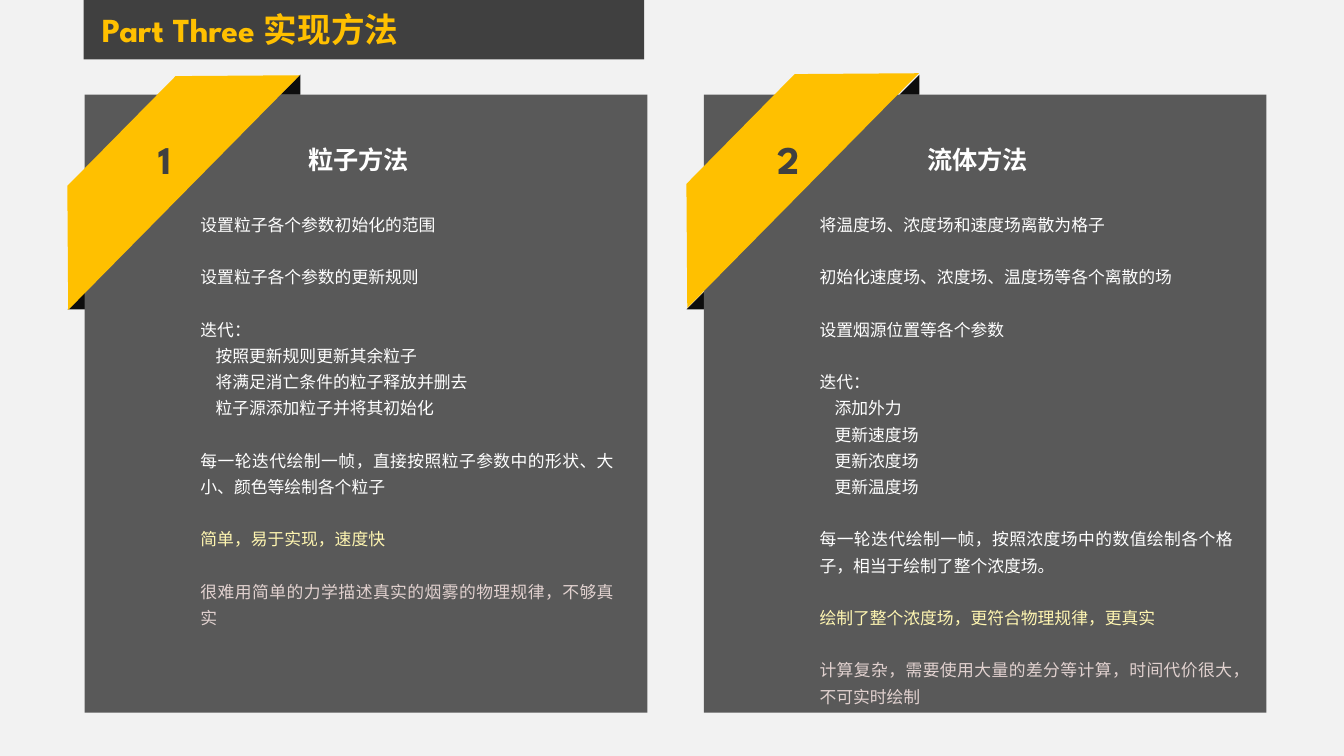
"""Build the slide that compares the particle method with the fluid method."""
from dataclasses import dataclass

from lxml.etree import SubElement
from pptx import Presentation
from pptx.dml.color import RGBColor
from pptx.enum.shapes import MSO_SHAPE
from pptx.enum.text import MSO_ANCHOR, MSO_AUTO_SIZE, PP_ALIGN
from pptx.oxml.ns import qn
from pptx.util import Emu, Pt

FONT = "League Spartan"
AMBER, WHITE, DARK, BLACK, GREY = "FFC000", "FFFFFF", "404040", "0D0D0D", "595959"
CREAM, ROSE = "FFF6B1", "E1D1CF"
PANEL_STEP = 614
LINE = 18.75
INDENT = 15


@dataclass
class Line:
    text: str
    color: str = WHITE
    indented: bool = False


@dataclass
class Panel:
    number: str
    heading: str
    ribbon_top: int
    lines: list[Line]


PANELS = [
    Panel("1", "粒子方法", 117, [
        Line("设置粒子各个参数初始化的范围"),
        Line("设置粒子各个参数的更新规则"),
        Line("迭代："),
        Line("按照更新规则更新其余粒子", indented=True),
        Line("将满足消亡条件的粒子释放并删去", indented=True),
        Line("粒子源添加粒子并将其初始化", indented=True),
        Line("每一轮迭代绘制一帧，直接按照粒子参数中的形状、大小、颜色等绘制各个粒子"),
        Line("简单，易于实现，速度快", CREAM),
        Line("很难用简单的力学描述真实的烟雾的物理规律，不够真实", ROSE),
    ]),
    Panel("2", "流体方法", 115, [
        Line("将温度场、浓度场和速度场离散为格子"),
        Line("初始化速度场、浓度场、温度场等各个离散的场"),
        Line("设置烟源位置等各个参数"),
        Line("迭代："),
        Line("添加外力", indented=True),
        Line("更新速度场", indented=True),
        Line("更新浓度场", indented=True),
        Line("更新温度场", indented=True),
        Line("每一轮迭代绘制一帧，按照浓度场中的数值绘制各个格子，相当于绘制了整个浓度场。"),
        Line("绘制了整个浓度场，更符合物理规律，更真实", CREAM),
        Line("计算复杂，需要使用大量的差分等计算，时间代价很大，不可实时绘制", ROSE),
    ]),
]


def px(n: int) -> Emu:
    return Emu(n * 9144)


def rgb(color: str) -> RGBColor:
    return RGBColor.from_string(color)


def add_run(p, text: str, size: int, color: str, bold: bool = False) -> None:
    r = p.add_run()
    r.text = text
    r.font.name = FONT
    r.font.size = Pt(size)
    r.font.bold = bold
    r.font.color.rgb = rgb(color)
    SubElement(r.font._element, qn("a:ea")).set("typeface", FONT)


def add_block(slide, kind, x: int, y: int, w: int, h: int, color: str):
    sp = slide.shapes.add_shape(kind, px(x), px(y), px(w), px(h))
    sp.shadow.inherit = False
    sp.fill.solid()
    sp.fill.fore_color.rgb = rgb(color)
    sp.line.fill.background()
    return sp


def add_fold(slide, x: int, y: int) -> None:
    add_block(slide, MSO_SHAPE.ISOSCELES_TRIANGLE, x, y, 20, 20, BLACK).adjustments[0] = 1


def add_text(slide, x: int, y: int, w: int, h: int, wrap: bool):
    tf = slide.shapes.add_textbox(px(x), px(y), px(w), px(h)).text_frame
    tf.word_wrap = wrap
    tf.auto_size = MSO_AUTO_SIZE.SHAPE_TO_FIT_TEXT
    return tf


def add_label(slide, text: str, x: int, y: int, w: int, h: int,
              size: int, color: str, align: PP_ALIGN) -> None:
    p = add_text(slide, x, y, w, h, False).paragraphs[0]
    p.alignment = align
    add_run(p, text, size, color, True)


def add_lines(slide, lines: list[Line], x: int, y: int, h: int) -> None:
    tf = add_text(slide, x, y, 430, h, True)
    for i, line in enumerate(lines):
        p = tf.add_paragraph() if i else tf.paragraphs[0]
        p.alignment = PP_ALIGN.JUSTIFY
        p.line_spacing = 1.3
        p.space_before = Pt(LINE if i and not line.indented else 0)
        if line.indented:
            p._p.get_or_add_pPr().set("marL", str(px(INDENT)))
        add_run(p, line.text, 12, line.color)


def add_panel(slide, panel: Panel, dx: int) -> None:
    add_fold(slide, 67 + dx, 287)
    add_block(slide, MSO_SHAPE.RECTANGLE, 84 + dx, 94, 558, 613, GREY)
    add_fold(slide, 278 + dx, 74)
    ribbon = add_block(slide, MSO_SHAPE.TRAPEZOID, dx - 12, panel.ribbon_top, 327, 87, AMBER)
    ribbon.adjustments[0] = 1
    ribbon.rotation = 314.6
    add_label(slide, panel.number, 147 + dx, 129, 42, 57, 28, DARK, PP_ALIGN.LEFT)
    add_label(slide, panel.heading, 295 + dx, 138, 121, 40, 18, WHITE, PP_ALIGN.CENTER)
    add_lines(slide, panel.lines, 189 + dx, 202, 480)


def add_title(slide, text: str) -> None:
    band = add_block(slide, MSO_SHAPE.RECTANGLE, 83, 0, 556, 59, DARK)
    title = slide.shapes.title
    title._element.addprevious(band._element)
    title.left, title.top, title.width, title.height = px(91), px(8), px(375), px(50)
    tf = title.text_frame
    tf.vertical_anchor = MSO_ANCHOR.TOP
    tf.auto_size = MSO_AUTO_SIZE.NONE
    p = tf.paragraphs[0]
    p.alignment = PP_ALIGN.LEFT
    p.line_spacing = 0.9
    add_run(p, text, 24, AMBER, True)


def main() -> None:
    prs = Presentation()
    prs.slide_width, prs.slide_height = px(1333), px(750)
    slide = prs.slides.add_slide(prs.slide_layouts[5])
    slide.background.fill.solid()
    slide.background.fill.fore_color.rgb = rgb("F2F2F2")
    add_title(slide, "Part Three 实现方法")
    for i, panel in enumerate(PANELS):
        add_panel(slide, panel, i * PANEL_STEP)
    prs.save("out.pptx")


if __name__ == "__main__":
    main()
